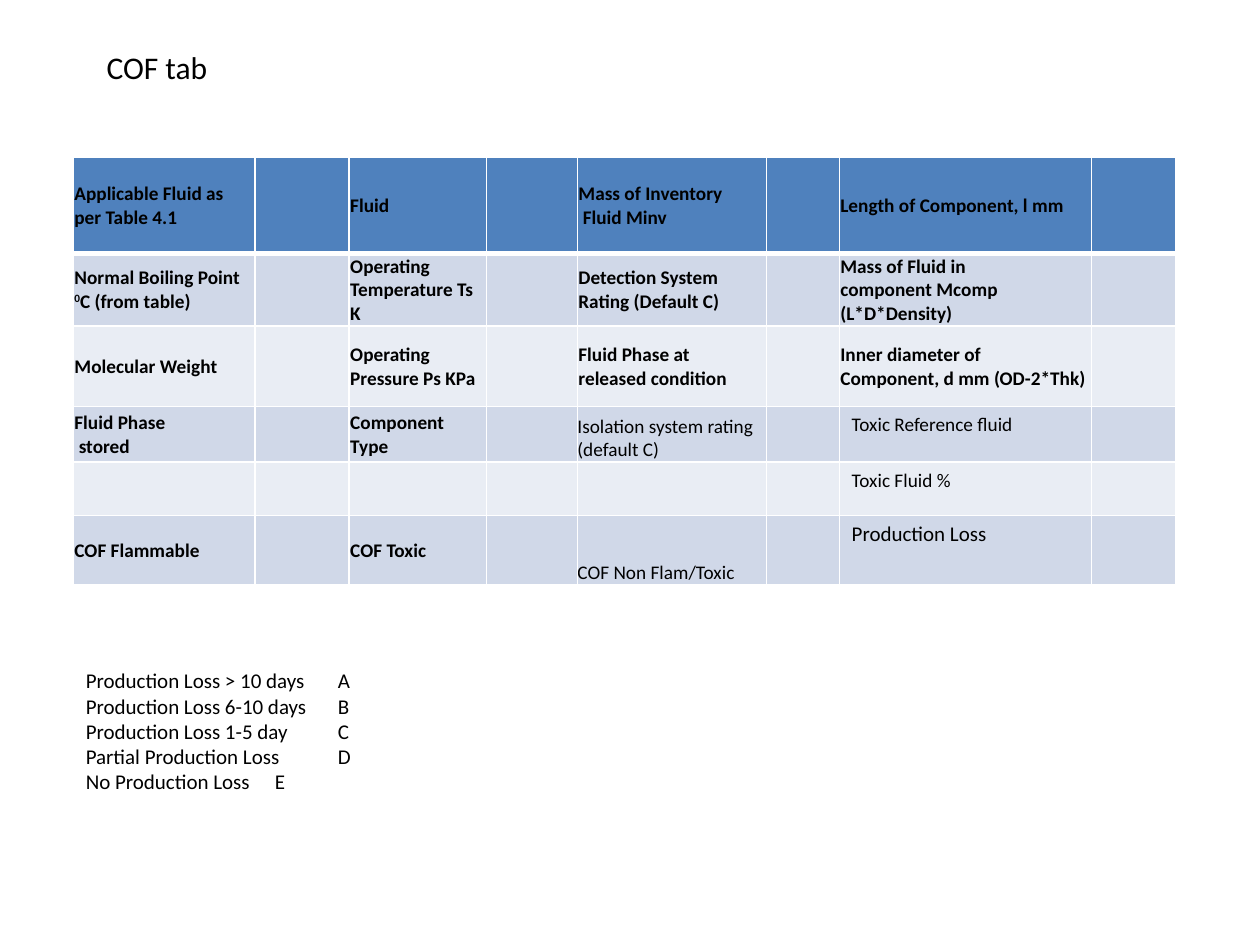
from lxml import etree
from pptx import Presentation
from pptx.dml.color import RGBColor
from pptx.enum.text import MSO_ANCHOR, MSO_AUTO_SIZE
from pptx.oxml.ns import qn
from pptx.util import Cm, Pt

COLORS = {"text": "000000", "header": "4F81BD", "dark_band": "D0D8E8",
          "light_band": "E9EDF4", "border": "FFFFFF"}

LABEL = dict(size=11, bold=True, anchor=MSO_ANCHOR.MIDDLE, margins=(0.02, 0.02, 0.02, 0))
PLAIN = dict(size=11, bold=False, anchor=MSO_ANCHOR.BOTTOM, margins=(0, 0, 0, 0))
INSET = dict(size=11, bold=False, anchor=MSO_ANCHOR.TOP, margins=(0.25, 0.13, 0.25, 0.13))
LARGE = dict(INSET, size=12)

COLUMN_WIDTHS = [3.66, 1.9, 2.77, 1.83, 3.81, 1.47, 5.08, 1.7]
ROW_HEIGHTS = [1.93, 1.45, 1.63, 1.12, 1.07, 1.4]
COF_ROWS = [
    [("Applicable Fluid as per Table 4.1", LABEL), ("Fluid ", LABEL),
     ("Mass of Inventory\n Fluid Minv", LABEL), ("Length of Component, l mm", LABEL)],
    [("Normal Boiling Point  ^0^C (from table)", LABEL),
     ("Operating\nTemperature Ts K", LABEL),
     ("Detection System Rating (Default C)", LABEL),
     ("Mass of Fluid in\ncomponent Mcomp (L*D*Density)", LABEL)],
    [("Molecular Weight", LABEL), ("Operating\nPressure Ps KPa", LABEL),
     ("Fluid Phase at \nreleased condition", LABEL),
     ("Inner diameter of \nComponent, d mm (OD-2*Thk)", LABEL)],
    [("Fluid Phase\n stored", LABEL), ("Component Type", LABEL),
     ("Isolation system rating (default C)", PLAIN), ("Toxic Reference fluid", INSET)],
    [None, None, None, ("Toxic Fluid %", INSET)],
    [("COF Flammable", LABEL), ("COF Toxic", LABEL),
     ("COF Non Flam/Toxic", PLAIN), ("Production Loss", LARGE)],
]
LOSS_RATINGS = [("Production Loss > 10 days", "A"), ("Production Loss 6-10 days", "B"),
                ("Production Loss 1-5 day", "C"), ("Partial Production Loss", "D"),
                ("No Production Loss", "E")]


class SlideBuilder:
    font_name = "Calibri"

    def __init__(self, slide):
        self.slide = slide

    def add_text(self, paragraph, text, size, bold=False):
        for part_index, part in enumerate(text.split("^")):
            for line_index, line in enumerate(part.split("\n")):
                if line_index:
                    paragraph.add_line_break()
                run = paragraph.add_run()
                run.text = line
                run.font.name = self.font_name
                run.font.size = Pt(size)
                run.font.bold = bold
                run.font.color.rgb = RGBColor.from_string(COLORS["text"])
                if part_index % 2:
                    run.font._element.set("baseline", "30000")

    def text_box(self, left, top, width, height, lines, size, wrap=True):
        frame = self.slide.shapes.add_textbox(
            Cm(left), Cm(top), Cm(width), Cm(height)).text_frame
        frame.word_wrap = wrap
        frame.auto_size = MSO_AUTO_SIZE.SHAPE_TO_FIT_TEXT
        for index, line in enumerate(lines):
            paragraph = frame.add_paragraph() if index else frame.paragraphs[0]
            self.add_text(paragraph, line, size)

    def border(self, cell, bottom):
        properties = cell._tc.get_or_add_tcPr()
        for side, points in (("L", 1), ("R", 1), ("T", 1), ("B", bottom)):
            line = etree.SubElement(properties, qn(f"a:ln{side}"), w=str(Pt(points)))
            fill = etree.SubElement(line, qn("a:solidFill"))
            etree.SubElement(fill, qn("a:srgbClr"), val=COLORS["border"])

    def cell(self, cell, fill, bottom, content):
        self.border(cell, bottom)
        cell.fill.solid()
        cell.fill.fore_color.rgb = RGBColor.from_string(COLORS[fill])
        if content:
            text, style = content
            cell.vertical_anchor = style["anchor"]
            (cell.margin_left, cell.margin_top,
             cell.margin_right, cell.margin_bottom) = map(Cm, style["margins"])
            self.add_text(cell.text_frame.paragraphs[0], text, style["size"], style["bold"])

    def table(self, left, top, widths, heights, rows):
        table = self.slide.shapes.add_table(
            len(heights), len(widths), Cm(left), Cm(top),
            Cm(sum(widths)), Cm(sum(heights))).table
        for column, width in zip(table.columns, widths):
            column.width = Cm(width)
        for r, (height, contents) in enumerate(zip(heights, rows)):
            table.rows[r].height = Cm(height)
            band = "header" if r == 0 else ("light_band", "dark_band")[r % 2]
            for c in range(len(widths)):
                content = contents[c // 2] if c % 2 == 0 else None
                self.cell(table.cell(r, c), band, 1 if r else 3, content)


presentation = Presentation()
presentation.slide_width, presentation.slide_height = Cm(25.4), Cm(19.05)
builder = SlideBuilder(presentation.slides.add_slide(presentation.slide_layouts[6]))
builder.table(1.48, 3.18, COLUMN_WIDTHS, ROW_HEIGHTS, COF_ROWS)
builder.text_box(1.9, 0.85, 2.57, 1.03, ["COF tab"], 18, wrap=False)
builder.text_box(1.48, 13.34, 12.7, 2.82, ["\t".join(row) for row in LOSS_RATINGS], 12)
presentation.save("out.pptx")
